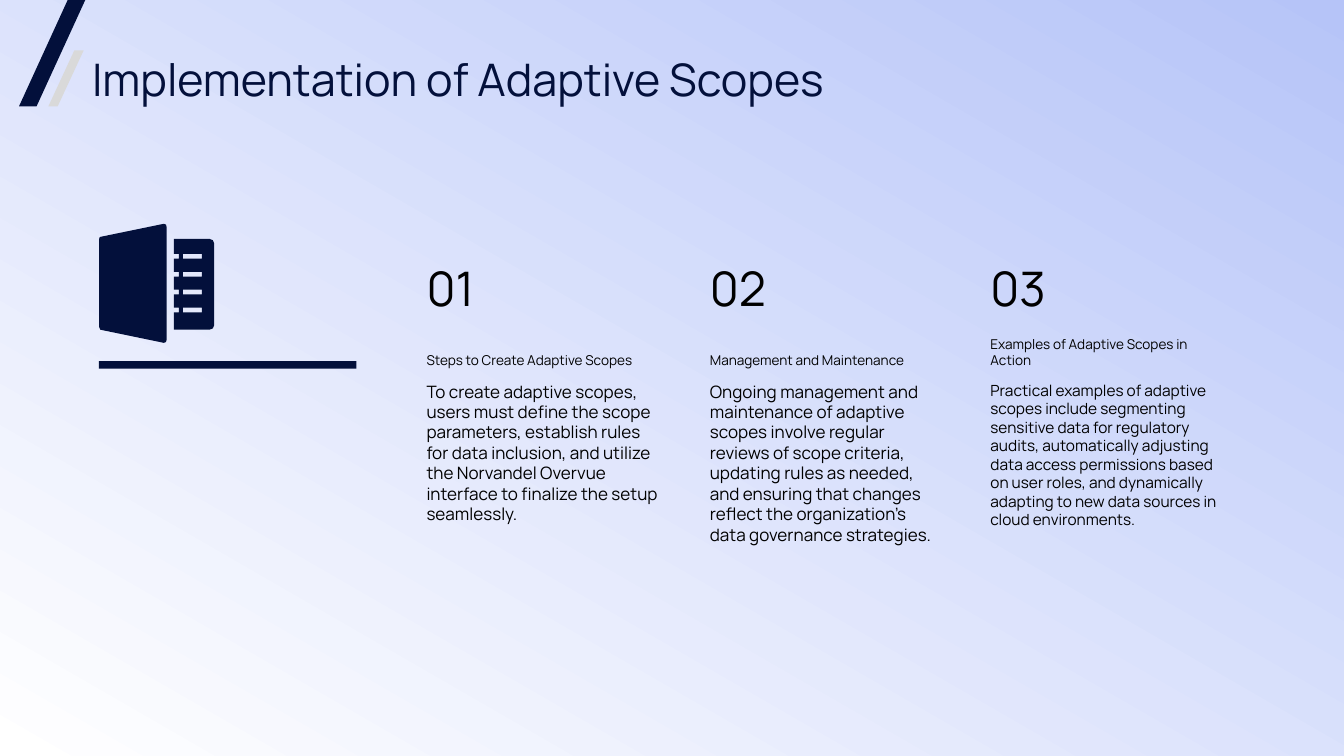
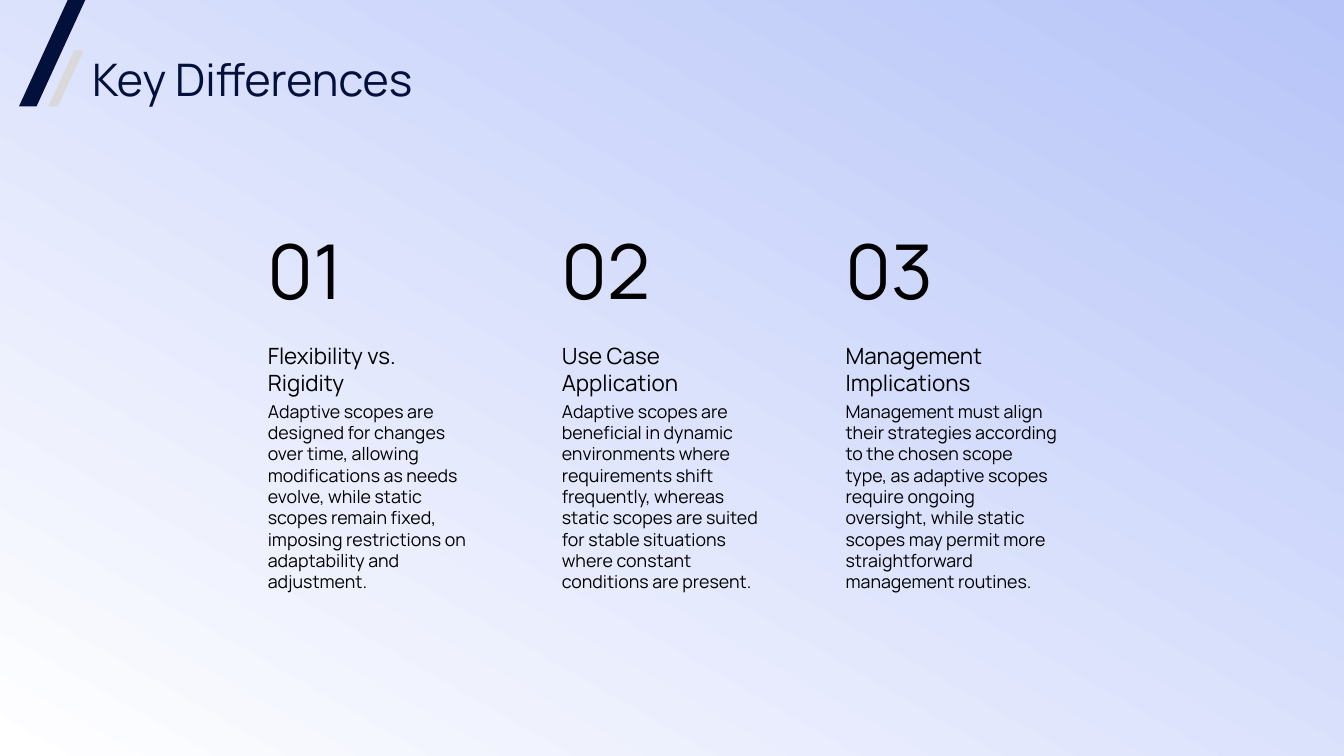
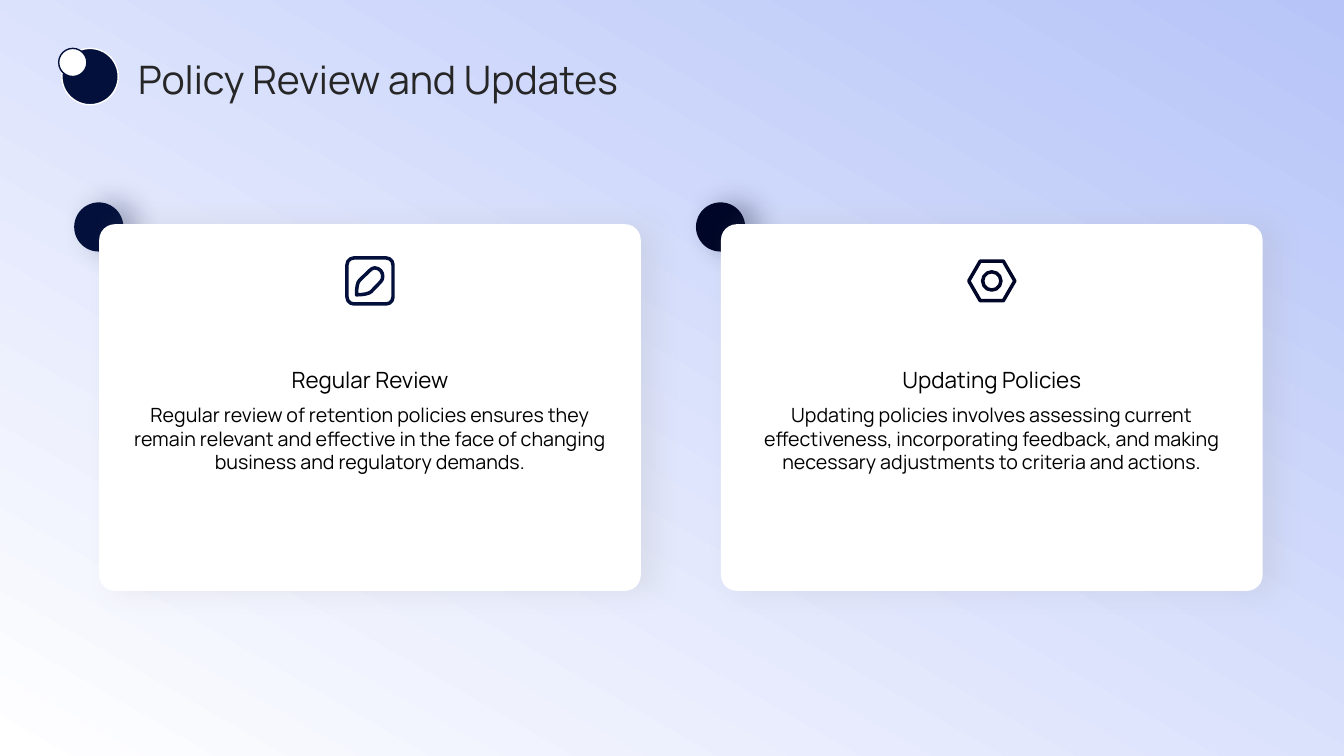
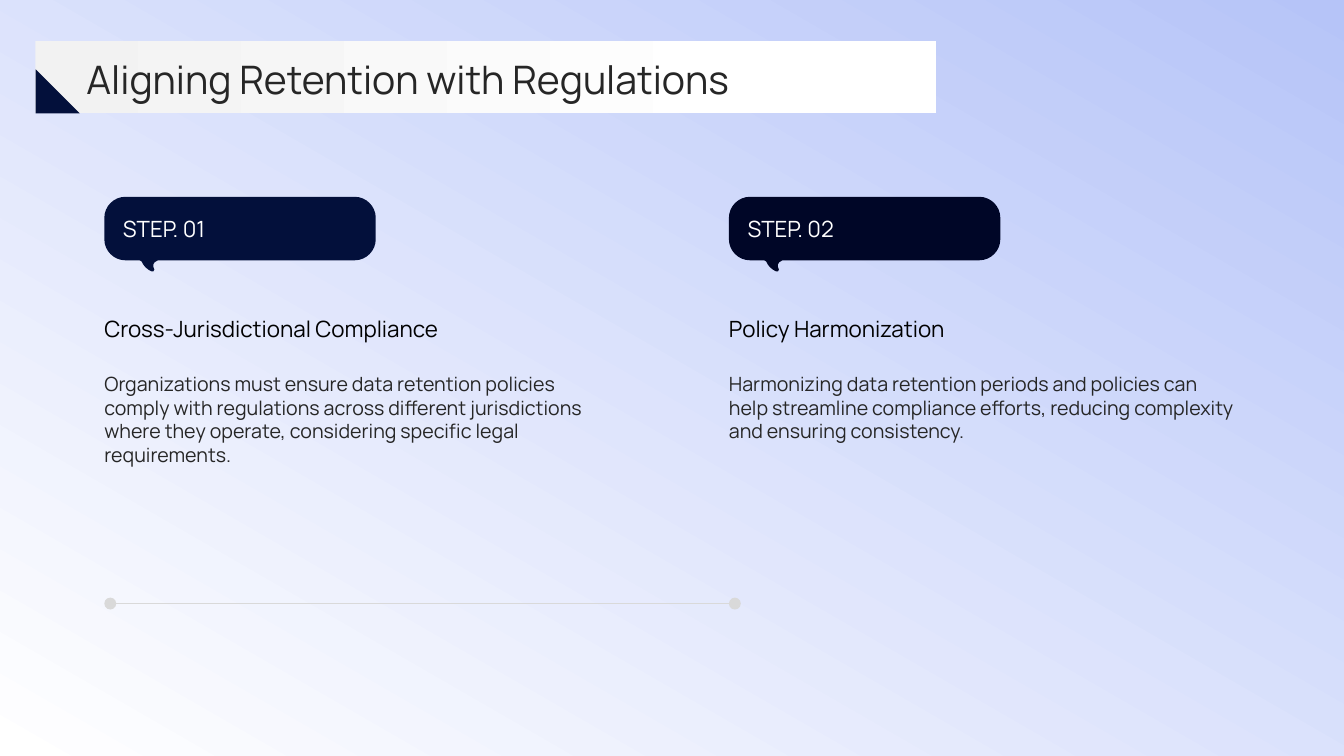
from lxml import etree
from pptx import Presentation
from pptx.dml.color import RGBColor
from pptx.enum.shapes import MSO_CONNECTOR, MSO_SHAPE
from pptx.enum.text import MSO_ANCHOR, PP_ALIGN
from pptx.oxml.ns import qn
from pptx.util import Cm, Pt

RECTANGLE, ROUNDED = MSO_SHAPE.RECTANGLE, MSO_SHAPE.ROUNDED_RECTANGLE
OVAL, HEXAGON = MSO_SHAPE.OVAL, MSO_SHAPE.HEXAGON
PARALLELOGRAM, TRIANGLE = MSO_SHAPE.PARALLELOGRAM, MSO_SHAPE.RIGHT_TRIANGLE
STRAIGHT = MSO_CONNECTOR.STRAIGHT
TOP, MIDDLE, BOTTOM = MSO_ANCHOR.TOP, MSO_ANCHOR.MIDDLE, MSO_ANCHOR.BOTTOM
LEFT, CENTER = PP_ALIGN.LEFT, PP_ALIGN.CENTER

NAVY = RGBColor(0x03, 0x10, 0x3B)
MIDNIGHT = RGBColor(0x00, 0x06, 0x27)
INK = RGBColor(0x26, 0x26, 0x26)
BLACK = RGBColor(0x00, 0x00, 0x00)
WHITE = RGBColor(0xFF, 0xFF, 0xFF)
SILVER = RGBColor(0xD9, 0xD9, 0xD9)
PALE = RGBColor(0xF2, 0xF2, 0xF2)
GRAY = RGBColor(0xA6, 0xA6, 0xA6)
PERIWINKLE = RGBColor(0xB6, 0xC4, 0xF8)
FONT = "Manrope"
SLIDE_WIDTH, SLIDE_HEIGHT = 33.87, 19.05

# Content: lengths are centimetres
IMPLEMENTATION = [
    # left, heading, body, body size
    (10.75, "Steps to Create Adaptive Scopes",
     "To create adaptive scopes, users must define the scope parameters, establish rules for "
     "data inclusion, and utilize the Norvandel Overvue interface to finalize the setup "
     "seamlessly.", 12.2),
    (17.89, "Management and Maintenance",
     "Ongoing management and maintenance of adaptive scopes involve regular reviews of scope "
     "criteria, updating rules as needed, and ensuring that changes reflect the organization's "
     "data governance strategies.", 12.2),
    (24.96, "Examples of Adaptive Scopes in Action",
     "Practical examples of adaptive scopes include segmenting sensitive data for regulatory "
     "audits, automatically adjusting data access permissions based on user roles, and "
     "dynamically adapting to new data sources in cloud environments.", 11),
]
DIFFERENCES = [
    # left, width, heading, body
    (6.75, 5.23, "Flexibility vs. Rigidity",
     "Adaptive scopes are designed for changes over time, allowing modifications as needs "
     "evolve, while static scopes remain fixed, imposing restrictions on adaptability and "
     "adjustment."),
    (14.16, 5.26, "Use Case Application",
     "Adaptive scopes are beneficial in dynamic environments where requirements shift "
     "frequently, whereas static scopes are suited for stable situations where constant "
     "conditions are present."),
    (21.31, 5.34, "Management Implications",
     "Management must align their strategies according to the chosen scope type, as adaptive "
     "scopes require ongoing oversight, while static scopes may permit more straightforward "
     "management routines."),
]
REVIEWS = [
    ("Regular Review",
     "Regular review of retention policies ensures they remain relevant and effective in the "
     "face of changing business and regulatory demands.", NAVY),
    ("Updating Policies",
     "Updating policies involves assessing current effectiveness, incorporating feedback, and "
     "making necessary adjustments to criteria and actions.", MIDNIGHT),
]
REGULATION_STEPS = [
    ("Cross-Jurisdictional Compliance",
     "Organizations must ensure data retention policies comply with regulations across "
     "different jurisdictions where they operate, considering specific legal requirements.",
     NAVY),
    ("Policy Harmonization",
     "Harmonizing data retention periods and policies can help streamline compliance efforts, "
     "reducing complexity and ensuring consistency.", MIDNIGHT),
]

# Outlines: a pair is a line to a point, six numbers are a cubic curve
BINDER_COVER = [
    (0.03, 0.33), (1.63, 0), (1.68, 0, 1.7, 0.03, 1.7, 0.08), (1.7, 2.92),
    (1.7, 2.97, 1.68, 3, 1.63, 3), (0.03, 2.67), (0, 2.65, 0, 2.62, 0, 2.6),
    (0, 0.4), (0, 0.36, 0, 0.34, 0.03, 0.33),
]
BINDER_PANEL = [
    (1.88, 0.38), (2.78, 0.38), (2.85, 0.38, 2.9, 0.43, 2.9, 0.5), (2.9, 2.55),
    (2.9, 2.62, 2.85, 2.67, 2.78, 2.67), (1.88, 2.67),
]
SLOT_ROWS = [0.76 + 0.45 * row for row in range(4)]
SLOT_HEIGHT = 0.12
PEN = [
    (0.28, 0.97), (0.28, 0.8, 0.3, 0.65, 0.36, 0.6), (0.61, 0.36),
    (0.65, 0.32, 0.69, 0.29, 0.74, 0.29), (0.8, 0.29, 0.85, 0.32, 0.89, 0.36),
    (0.96, 0.44, 0.96, 0.57, 0.89, 0.64), (0.65, 0.89),
    (0.6, 0.94, 0.45, 0.97, 0.28, 0.97),
]
SPEECH_BUBBLE = [
    (0.53, 1.6), (0.89, 1.6), (0.91, 1.6, 0.93, 1.61, 0.94, 1.63),
    (0.99, 1.75, 1.08, 1.83, 1.19, 1.88), (1.22, 1.9, 1.26, 1.88, 1.26, 1.83),
    (1.22, 1.75, 1.2, 1.66, 1.35, 1.6), (6.31, 1.6),
    (6.6, 1.6, 6.84, 1.36, 6.84, 1.07), (6.84, 0.53), (6.84, 0.24, 6.6, 0, 6.31, 0),
    (0.53, 0), (0.24, 0, 0, 0.24, 0, 0.53), (0, 1.07), (0, 1.36, 0.24, 1.6, 0.53, 1.6),
]


def add_text(slide, text, x, y, w, h, *, size, color=BLACK, anchor=TOP, align=LEFT):
    frame = slide.shapes.add_textbox(Cm(x), Cm(y), Cm(w), Cm(h)).text_frame
    frame.margin_left = frame.margin_top = frame.margin_right = frame.margin_bottom = 0
    frame.word_wrap = True
    frame.vertical_anchor = anchor
    paragraph = frame.paragraphs[0]
    paragraph.text = text
    paragraph.alignment = align
    font = paragraph.font
    font.name, font.size, font.color.rgb = FONT, Pt(size), color


def paint(shape, fill=None, line=None, line_width=1):
    """Set fill and outline; None leaves that part out."""
    shape.shadow.inherit = False
    if fill is None:
        shape.fill.background()
    else:
        shape.fill.solid()
        shape.fill.fore_color.rgb = fill
    if line is None:
        shape.line.fill.background()
    else:
        shape.line.color.rgb = line
        shape.line.width = Pt(line_width)


def add_preset(slide, kind, x, y, w, h, *, adjustment=None, **colors):
    shape = slide.shapes.add_shape(kind, Cm(x), Cm(y), Cm(w), Cm(h))
    if adjustment is not None:
        shape.adjustments[0] = adjustment
    paint(shape, **colors)
    return shape


def add_outline(slide, outlines, x, y, **colors):
    """Draw closed outlines as one freeform, then bend its curved segments."""
    contours = [[(Cm(x + part[-2]), Cm(y + part[-1])) for part in outline]
                for outline in outlines]
    builder = slide.shapes.build_freeform(*contours[0][0])
    for number, contour in enumerate(contours):
        if number:
            builder.move_to(*contour[0])
        builder.add_line_segments(contour[1:], close=True)
    shape = builder.convert_to_shape()
    segments = list(shape.element.iter(qn("a:lnTo")))
    parts = [part for outline in outlines for part in outline[1:]]
    for segment, part in zip(segments, parts):
        if len(part) == 6:
            segment.tag = qn("a:cubicBezTo")
            for position in (0, 1):
                px, py = part[2 * position:2 * position + 2]
                control = etree.Element(qn("a:pt"), x=str(Cm(x + px) - shape.left),
                                        y=str(Cm(y + py) - shape.top))
                segment.insert(position, control)
    paint(shape, **colors)


def add_shadow(shape, color, opacity):
    """Cast a soft shadow to the right."""
    effects = shape.element.spPr.find(qn("a:effectLst"))
    shadow = etree.SubElement(effects, qn("a:outerShdw"), blurRad=str(Pt(20)),
                              dist=str(Pt(10)), dir="0", algn="ctr", rotWithShape="0")
    tint = etree.SubElement(shadow, qn("a:srgbClr"), val=str(color))
    etree.SubElement(tint, qn("a:alpha"), val=str(opacity * 1000))


def set_gradient(fill, start, end, angle, end_position=1):
    fill.gradient()
    fill.gradient_angle = angle
    first, last = fill.gradient_stops
    first.color.rgb, last.color.rgb = start, end
    first.position, last.position = 0, end_position


def add_backdrop(slide):
    backdrop = add_preset(slide, RECTANGLE, 0, 0, SLIDE_WIDTH, SLIDE_HEIGHT)
    set_gradient(backdrop.fill, PERIWINKLE, WHITE, 240)


def add_title(slide, text, x, size=28, color=INK):
    add_text(slide, text, x, 1.33, 29.67, 1.3, size=size, color=color, anchor=MIDDLE)


def add_slash_title(slide, text):
    add_title(slide, text, 2.32, size=32, color=NAVY)
    for x, y, w, h, color in ((0.48, 0, 1.67, 2.68, NAVY), (1.22, 1.27, 0.89, 1.41, SILVER)):
        add_preset(slide, PARALLELOGRAM, x, y, w, h, adjustment=0.735, fill=color)


def add_binder(slide, x, y):
    panel = list(BINDER_PANEL)
    for row in reversed(SLOT_ROWS):
        low = row + SLOT_HEIGHT
        panel += [(1.88, low), (2.01, low), (2.01, row), (1.88, row)]
    slots = [[(2.11, row), (2.11, row + SLOT_HEIGHT), (2.59, row + SLOT_HEIGHT), (2.59, row)]
             for row in SLOT_ROWS]
    add_outline(slide, [BINDER_COVER, panel, *slots], x, y, fill=NAVY)


def add_implementation(slide):
    add_binder(slide, 2.5, 5.64)
    add_preset(slide, RECTANGLE, 2.49, 9.1, 6.49, 0.19, fill=NAVY)
    for number, (x, heading, body, body_size) in enumerate(IMPLEMENTATION, 1):
        add_text(slide, f"{number:02}", x, 5.52, 5.51, 2.45, size=34, anchor=BOTTOM)
        add_text(slide, heading, x, 7.94, 5.51, 1.35, size=9.7, anchor=BOTTOM)
        add_text(slide, body, x, 9.6, 5.87, 5.72, size=body_size)
    add_slash_title(slide, "Implementation of Adaptive Scopes")


def add_differences(slide):
    for number, (x, width, heading, body) in enumerate(DIFFERENCES, 1):
        add_text(slide, heading, x, 8.62, width, 1.47, size=16)
        add_text(slide, body, x, 10.09, width, 6.96, size=12.7)
        add_text(slide, f"{number:02}", x, 5.64, 3.86, 2.31, size=54)
    add_slash_title(slide, "Key Differences")


def add_edit_icon(slide, cx, cy, color):
    stroke = {"line": color, "line_width": 2.5}
    add_preset(slide, ROUNDED, cx - 0.58, cy - 0.58, 1.16, 1.16, adjustment=0.15, **stroke)
    add_outline(slide, [PEN], cx - 0.62, cy - 0.62, **stroke)


def add_nut_icon(slide, cx, cy, color):
    stroke = {"line": color, "line_width": 2.5}
    add_preset(slide, HEXAGON, cx - 0.58, cy - 0.5, 1.16, 1, adjustment=0.29, **stroke)
    add_preset(slide, OVAL, cx - 0.23, cy - 0.23, 0.46, 0.46, **stroke)


def add_reviews(slide):
    card_width = 13.65
    icons = (add_edit_icon, add_nut_icon)
    for column, ((heading, body, color), add_icon) in enumerate(zip(REVIEWS, icons)):
        x = 2.5 + 15.67 * column
        dot = add_preset(slide, OVAL, x - 0.63, 5.1, 1.24, 1.24, fill=color)
        add_shadow(dot, color, 32)
        card = add_preset(slide, ROUNDED, x, 5.65, card_width, 9.24, adjustment=0.043,
                          fill=WHITE)
        add_shadow(card, GRAY, 20)
        add_icon(slide, x + card_width / 2, 7.08, color)
        add_text(slide, heading, x + 0.87, 7.9, 11.91, 2, size=16, anchor=BOTTOM,
                 align=CENTER)
        add_text(slide, body, x + 0.87, 10.16, 11.91, 3.84, size=14, align=CENTER)
    add_title(slide, "Policy Review and Updates", 3.48)
    add_preset(slide, OVAL, 1.56, 1.22, 1.42, 1.42, fill=NAVY, line=WHITE)
    add_preset(slide, OVAL, 1.48, 1.22, 0.71, 0.71, fill=WHITE, line=NAVY)


def add_regulations(slide):
    lefts = [2.63 + 15.74 * column for column in range(len(REGULATION_STEPS))]
    dot_size, dot_top = 0.3, 15.06
    middle = Cm(dot_top + dot_size / 2)
    timeline = slide.shapes.add_connector(STRAIGHT, Cm(lefts[0] + dot_size / 2), middle,
                                          Cm(lefts[-1] + dot_size / 2), middle)
    timeline.line.color.rgb = SILVER
    timeline.line.width = Pt(1)
    etree.SubElement(timeline.element.spPr, qn("a:effectLst"))

    for number, (x, (heading, body, color)) in enumerate(zip(lefts, REGULATION_STEPS), 1):
        add_outline(slide, [SPEECH_BUBBLE], x, 4.96, fill=color)
        add_text(slide, f"STEP. {number:02}", x + 0.47, 5.28, 5.89, 0.94, size=16,
                 color=WHITE, anchor=MIDDLE)
        add_text(slide, heading, x, 7.18, 12.9, 2.21, size=16, anchor=MIDDLE)
        add_text(slide, body, x, 9.38, 12.9, 3.99, size=14, color=INK)
        add_preset(slide, OVAL, x, dot_top, dot_size, dot_size, fill=SILVER)

    banner = add_preset(slide, RECTANGLE, 0.89, 1.04, 22.7, 1.82)
    set_gradient(banner.fill, PALE, WHITE, 0, end_position=0.8)
    add_title(slide, "Aligning Retention with Regulations", 2.18)
    add_preset(slide, TRIANGLE, 0.9, 1.75, 1.11, 1.11, fill=NAVY)


def main():
    prs = Presentation()
    prs.slide_width, prs.slide_height = Cm(SLIDE_WIDTH), Cm(SLIDE_HEIGHT)
    blank = prs.slide_layouts[6]
    for add_content in (add_implementation, add_differences, add_reviews, add_regulations):
        slide = prs.slides.add_slide(blank)
        add_backdrop(slide)
        add_content(slide)
    prs.save("out.pptx")


if __name__ == "__main__":
    main()
